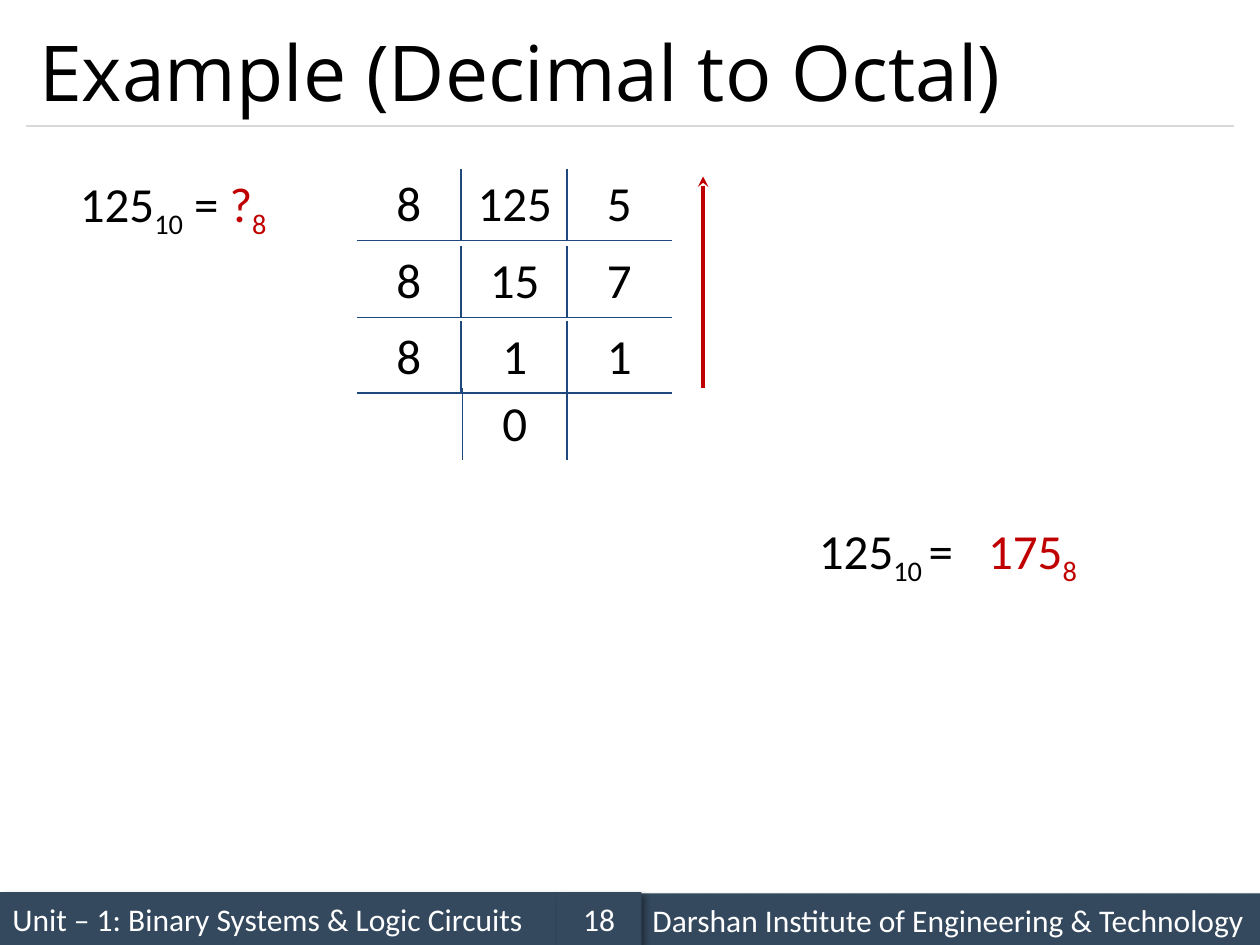
from lxml.etree import SubElement
from pptx import Presentation
from pptx.dml.color import RGBColor
from pptx.enum.shapes import MSO_CONNECTOR, MSO_SHAPE
from pptx.enum.text import MSO_ANCHOR, PP_ALIGN
from pptx.oxml import parse_xml
from pptx.oxml.ns import nsdecls, qn
from pptx.util import Inches, Pt

COLORS = {
    "text": "000000",
    "answer": "C00000",
    "grid": "1F497D",
    "bar": "34495E",
    "bar_text": "FFFFFF",
    "rule": "D9D9D9",
}
CELL_WIDTH, CELL_HEIGHT = 0.83, 0.57
COLUMN_LEFTS = [2.83, 3.67, 4.5]
DIVISIONS = [(1.34, "8", "125", "5"), (1.95, "8", "15", "7"), (2.55, "8", "1", "1")]


def rgb(name):
    return RGBColor.from_string(COLORS[name])


def style_font(font, size, color="text", name="Calibri"):
    font.size = Pt(size)
    font.name = name
    font.color.rgb = rgb(color)


def set_title(page, text):
    title = page.shapes.title
    title.left, title.top = Inches(0.21), Inches(0.12)
    title.width, title.height = Inches(9.58), Inches(0.88)
    frame = title.text_frame
    frame.text = text
    frame.vertical_anchor = MSO_ANCHOR.MIDDLE
    para = frame.paragraphs[0]
    para.alignment = PP_ALIGN.LEFT
    style_font(para.runs[0].font, 44, name="Open Sans")


def add_line(page, start, end, color, width):
    line = page.shapes.add_connector(
        MSO_CONNECTOR.STRAIGHT, *(Inches(value) for value in (*start, *end)))
    line.line.color.rgb = rgb(color)
    line.line.width = Pt(width)
    SubElement(line._element.spPr, qn("a:effectLst"))
    return line


def add_arrow(page, start, end):
    arrow = add_line(page, start, end, "answer", 2)
    SubElement(arrow.line._get_or_add_ln(), qn("a:tailEnd"), type="stealth")


def add_footer_bar(page, left, top, width, text, alignment=PP_ALIGN.LEFT):
    bar = page.shapes.add_shape(
        MSO_SHAPE.RECTANGLE, Inches(left), Inches(top), Inches(width), Inches(0.42))
    bar.fill.solid()
    bar.fill.fore_color.rgb = rgb("bar")
    bar.line.fill.background()
    bar._element.spPr.append(parse_xml(
        f'<a:effectLst {nsdecls("a")}>'
        f'<a:outerShdw blurRad="{Pt(4)}" dist="{Pt(3)}" dir="2700000" algn="tl">'
        '<a:srgbClr val="000000"><a:alpha val="40000"/></a:srgbClr>'
        '</a:outerShdw></a:effectLst>'))
    frame = bar.text_frame
    frame.text = text
    frame.vertical_anchor = MSO_ANCHOR.MIDDLE
    para = frame.paragraphs[0]
    para.alignment = alignment
    style_font(para.runs[0].font, 18, "bar_text")


def add_number(page, left, top, width, spans):
    """Write a number from (text, color, is_subscript) spans."""
    box = page.shapes.add_textbox(
        Inches(left), Inches(top), Inches(width), Inches(0.57))
    box.text_frame.word_wrap = True
    para = box.text_frame.paragraphs[0]
    para.alignment = PP_ALIGN.CENTER
    for text, color, is_subscript in spans:
        span = para.add_run()
        span.text = text
        style_font(span.font, 28, color)
        if is_subscript:
            span._r.get_or_add_rPr().set("baseline", "-25000")


def set_borders(cell, sides):
    """Draw the sides named in a string of L, R, T and B; hide the others."""
    properties = cell._tc.get_or_add_tcPr()
    for side in "LRTB":
        border = SubElement(properties, qn(f"a:ln{side}"), w=str(Pt(1)))
        if side in sides:
            fill = SubElement(border, qn("a:solidFill"))
            SubElement(fill, qn("a:srgbClr"), val=COLORS["grid"])
        else:
            SubElement(border, qn("a:noFill"))


def add_division_cell(page, left, top, text, sides):
    table = page.shapes.add_table(
        1, 1, Inches(left), Inches(top), Inches(CELL_WIDTH), Inches(CELL_HEIGHT)).table
    table.first_row = False
    table.horz_banding = False
    cell = table.cell(0, 0)
    set_borders(cell, sides)
    cell.fill.background()
    cell.text_frame.text = text
    para = cell.text_frame.paragraphs[0]
    para.alignment = PP_ALIGN.CENTER
    style_font(para.runs[0].font, 28)


def main():
    deck = Presentation()
    deck.slide_width, deck.slide_height = Inches(10), Inches(7.5)
    page = deck.slides.add_slide(deck.slide_layouts[5])

    add_footer_bar(page, 0, 7.08, 4.42, "Unit – 1: Binary Systems & Logic Circuits")
    add_line(page, (0.21, 1), (9.79, 1), "rule", 0.75)
    add_footer_bar(page, 5.08, 7.09, 4.92,
                   "Darshan Institute of Engineering & Technology")
    add_footer_bar(page, 4.42, 7.08, 0.67, "18", PP_ALIGN.CENTER)
    set_title(page, "Example (Decimal to Octal)")

    add_number(page, 0.25, 1.33, 2.25, [
        ("125", "text", False), ("10", "text", True), (" = ", "text", False),
        ("?", "answer", False), ("8", "answer", True)])

    for top, *values in DIVISIONS:
        for left, value, sides in zip(COLUMN_LEFTS, values, ("RB", "RB", "B")):
            add_division_cell(page, left, top, value, sides)
    add_division_cell(page, COLUMN_LEFTS[1], 3.08, "0", "LR")

    add_number(page, 6.33, 4.08, 1.49, [
        ("125", "text", False), ("10 ", "text", True), ("= ", "text", False)])
    add_arrow(page, (5.58, 3.08), (5.58, 1.4))
    add_number(page, 7.58, 4.08, 1.23, [
        ("175", "answer", False), ("8", "answer", True)])

    deck.save("out.pptx")


if __name__ == "__main__":
    main()
